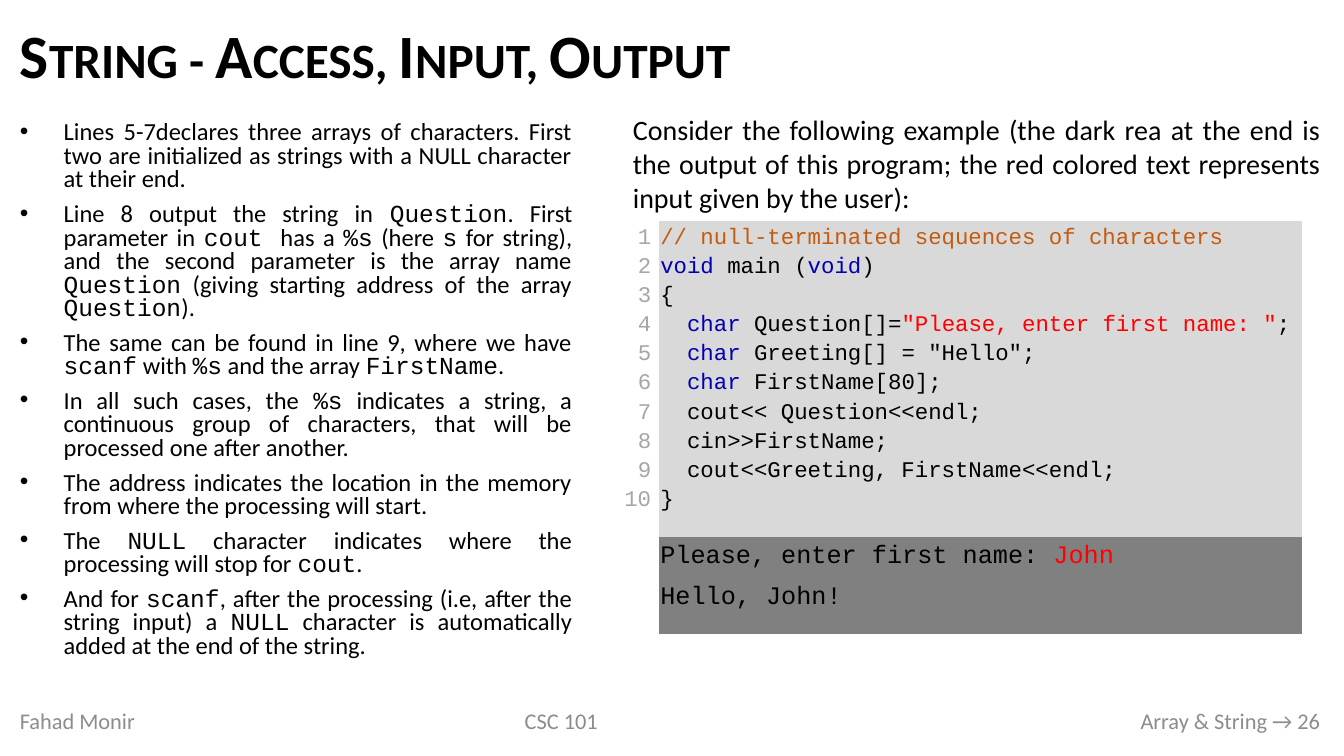
from dataclasses import dataclass

import pptx
import pptx.dml.color
import pptx.enum.text
import pptx.oxml.ns
import pptx.util

Cm = pptx.util.Cm
Pt = pptx.util.Pt
Align = pptx.enum.text.PP_ALIGN
Anchor = pptx.enum.text.MSO_ANCHOR


@dataclass(frozen=True)
class Theme:
    """Colours, fonts and type sizes of the slide."""
    text: str = "000000"
    comment: str = "C55A11"
    keyword: str = "0000B0"
    literal: str = "FF0000"
    line_number: str = "A6A6A6"
    footer: str = "8C8C8C"
    code_fill: str = "D9D9D9"
    output_fill: str = "808080"
    sans: str = "Calibri"
    mono: str = "Courier New"
    title_size: float = 44
    intro_size: float = 20
    output_size: float = 18
    body_size: float = 17.5
    small_size: float = 16


THEME = Theme()

NOTES = [
    "Lines 5-7declares three arrays of characters. First two are initialized as strings "
    "with a NULL character at their end. ",
    "Line 8 output the string in `Question`. First parameter in `cout `has a `%s` (here `s` "
    "for string), and the second parameter is the array name `Question` (giving starting "
    "address of the array `Question`). ",
    "The same can be found in line 9, where we have `scanf` with `%s` and the array `FirstName`. ",
    "In all such cases, the `%s` indicates a string, a continuous group of characters, that "
    "will be processed one after another. ",
    "The address indicates the location in the memory from where the processing will start. ",
    "The `NULL` character indicates where the processing will stop for `cout`. ",
    "And for `scanf`, after the processing (i.e, after the string input) a `NULL` character "
    "is automatically added at the end of the string.",
]

CODE = [
    [("// null-terminated sequences of characters", THEME.comment)],
    [("void", THEME.keyword), (" main (", THEME.text), ("void", THEME.keyword), (")", THEME.text)],
    [("{", THEME.text)],
    [("  ", THEME.text), ("char", THEME.keyword), (" Question[]=", THEME.text),
     ('"Please, enter first name: "', THEME.literal), (";", THEME.text)],
    [("  ", THEME.text), ("char", THEME.keyword), (' Greeting[] = "Hello";', THEME.text)],
    [("  ", THEME.text), ("char ", THEME.keyword), ("FirstName[80];", THEME.text)],
    [("  cout<< Question<<endl;", THEME.text)],
    [("  cin>>FirstName;", THEME.text)],
    [("  cout<<Greeting, FirstName<<endl;", THEME.text)],
    [("}", THEME.text)],
]

OUTPUT = [
    [("Please, enter first name: ", THEME.text), ("John", THEME.literal)],
    [("Hello, John!", THEME.text)],
]

INTRO = ("Consider the following example (the dark rea at the end is the output of this "
         "program; the red colored text represents input given by the user):")


def rgb(value):
    """Turn a hex string into a colour."""
    return pptx.dml.color.RGBColor.from_string(value)


def add_run(paragraph, text, size, color=THEME.text, font=THEME.sans):
    """Append a formatted run and return it."""
    run = paragraph.add_run()
    run.text = text
    run.font.size = Pt(size)
    run.font.name = font
    run.font.color.rgb = rgb(color)
    return run


def paragraphs_for(frame, items):
    """Pair each item with its own paragraph of the frame."""
    for index, item in enumerate(items):
        yield (frame.add_paragraph() if index else frame.paragraphs[0]), item


def place(shape, box):
    """Move a shape to a box given in centimetres."""
    shape.left, shape.top, shape.width, shape.height = map(Cm, box)


def add_label(slide, box, text, size, color, alignment, anchor):
    """Add a wrapped one-paragraph text box."""
    frame = slide.shapes.add_textbox(*map(Cm, box)).text_frame
    frame.word_wrap = True
    frame.vertical_anchor = anchor
    frame.paragraphs[0].alignment = alignment
    add_run(frame.paragraphs[0], text, size, color)


def fill_title(slide, box):
    """Write the small-caps title."""
    title = slide.shapes.title
    place(title, box)
    frame = title.text_frame
    frame.auto_size = pptx.enum.text.MSO_AUTO_SIZE.NONE
    frame.vertical_anchor = Anchor.MIDDLE
    paragraph = frame.paragraphs[0]
    paragraph.alignment = Align.LEFT
    paragraph.line_spacing = 0.9
    run = add_run(paragraph, "String - Access, Input, Output", THEME.title_size)
    run.font.bold = True
    run.font._element.set("cap", "small")


def fill_notes(slide, box):
    """Write the bulleted notes, with code words in the monospaced font."""
    body = slide.placeholders[1]
    place(body, box)
    frame = body.text_frame
    frame.auto_size = pptx.enum.text.MSO_AUTO_SIZE.NONE
    indent = Cm(1.1)
    for paragraph, note in paragraphs_for(frame, NOTES):
        paragraph.alignment = Align.JUSTIFY
        paragraph.line_spacing = 0.8
        paragraph.space_before = paragraph.space_after = Pt(4)
        properties = paragraph._p.get_or_add_pPr()
        properties.set("marL", str(indent))
        properties.set("indent", str(-indent))
        for index, part in enumerate(note.split("`")):
            font = THEME.mono if index % 2 else THEME.sans
            add_run(paragraph, part, THEME.body_size, font=font)


def fill_listing(cell, lines, size, fill):
    """Write coloured monospaced lines into a filled cell."""
    cell.fill.solid()
    cell.fill.fore_color.rgb = rgb(fill)
    for paragraph, line in paragraphs_for(cell.text_frame, lines):
        paragraph.line_spacing = 1.15
        for text, color in line:
            add_run(paragraph, text, size, color, THEME.mono)


def add_example(slide, box):
    """Add the introduction with the numbered program and its output below."""
    left, top, width, height = box
    intro_height, number_width, code_height = 2.84, 0.91, 7.98
    add_label(slide, (left, top, width, intro_height), INTRO, THEME.intro_size,
              THEME.text, Align.JUSTIFY, Anchor.TOP)
    table_width, table_height = width - 0.72, height - intro_height
    table = slide.shapes.add_table(2, 2, Cm(left), Cm(top + intro_height),
                                   Cm(table_width), Cm(table_height)).table
    table.first_row = table.horz_banding = False
    style = table._tbl.tblPr.find(pptx.oxml.ns.qn("a:tableStyleId"))
    style.text = "{2D5ABB26-0587-4C30-8999-92F81FD0307C}"
    for column, size in zip(table.columns, (number_width, table_width - number_width)):
        column.width = Cm(size)
    for row, size in zip(table.rows, (code_height, table_height - code_height)):
        row.height = Cm(size)
    for cell in table.iter_cells():
        cell.fill.background()
        cell.margin_left = cell.margin_right = cell.margin_top = cell.margin_bottom = Cm(0.03)
    numbers = table.cell(0, 0)
    numbers.margin_right = Cm(0.2)
    paragraph = numbers.text_frame.paragraphs[0]
    paragraph.alignment = Align.RIGHT
    paragraph.line_spacing = 1.15
    for number in range(1, len(CODE) + 1):
        if number > 1:
            paragraph.add_line_break()
        add_run(paragraph, str(number), THEME.small_size, THEME.line_number, THEME.mono)
    fill_listing(table.cell(0, 1), CODE, THEME.small_size, THEME.code_fill)
    output = table.cell(1, 1)
    fill_listing(output, OUTPUT, THEME.output_size, THEME.output_fill)
    greeting = output.text_frame.paragraphs[-1]
    greeting.space_before = greeting.space_after = Pt(6)


def add_footer(slide, box):
    """Add author, course and page along the bottom."""
    left, top, width, height = box
    labels = [("Fahad Monir", 0, 6.12, Align.LEFT),
              ("CSC 101", 9.63, 8.53, Align.CENTER),
              ("Array & String → 26", width - 13.94, 13.94, Align.RIGHT)]
    for text, offset, label_width, alignment in labels:
        add_label(slide, (left + offset, top, label_width, height), text,
                  THEME.small_size, THEME.footer, alignment, Anchor.MIDDLE)


def main():
    """Build and save the slide."""
    presentation = pptx.Presentation()
    presentation.slide_width, presentation.slide_height = Cm(33.87), Cm(19.05)
    slide = presentation.slides.add_slide(presentation.slide_layouts[1])
    fill_title(slide, (0.25, 0.28, 33.27, 2.41))
    fill_notes(slide, (0.25, 2.95, 14.43, 14.38))
    add_example(slide, (15.7, 2.72, 17.83, 13.26))
    add_footer(slide, (0.25, 17.65, 33.27, 1.02))
    presentation.save("out.pptx")


if __name__ == "__main__":
    main()
